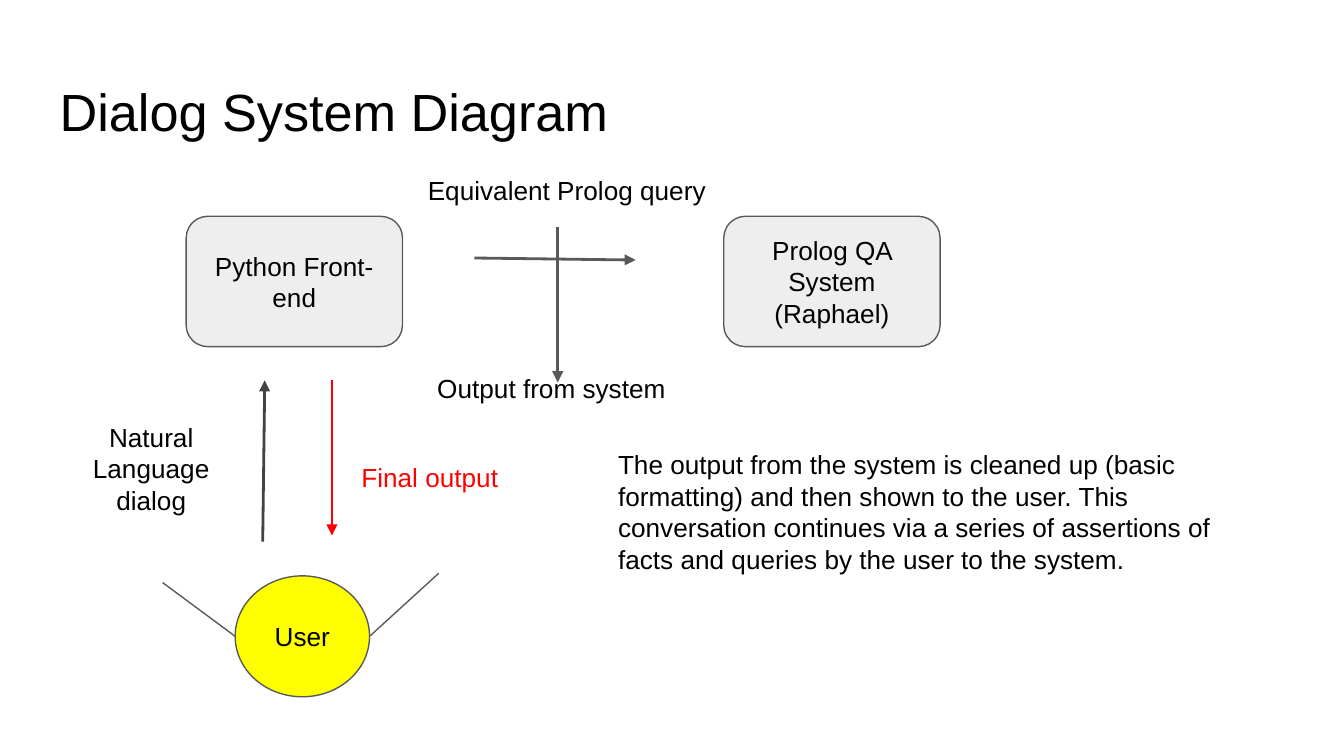
import pptx
import pptx.util
import pptx.dml.color
import pptx.enum.shapes
import pptx.enum.text
import pptx.oxml.ns
import lxml.etree

PX = 4572  # EMU per px, 200 px to the inch
THEME = dict(font="Arial", head=28, body=14, black="000000", red="FF0000",
             grey="EEEEEE", yellow="FFFF00", edge="595959", dark="434343",
             thin=0.75, thick=1.5)
KIND = pptx.enum.shapes.MSO_SHAPE
ALIGN = pptx.enum.text.PP_ALIGN
ANCHOR = pptx.enum.text.MSO_ANCHOR


def tint(name):
    return pptx.dml.color.RGBColor.from_string(THEME[name])


def write(shape, text, size="body", color="black", align=ALIGN.LEFT,
          anchor=ANCHOR.TOP):
    frame = shape.text_frame
    form = dict(word_wrap=True, vertical_anchor=anchor)
    for side in ("left", "right", "top", "bottom"):
        form["margin_" + side] = 20 * PX
    for key, value in form.items():
        setattr(frame, key, value)
    para = frame.paragraphs[0]
    para.text, para.alignment = text, align
    font = para.runs[0].font
    font.name, font.size = THEME["font"], pptx.util.Pt(THEME[size])
    font.color.rgb = tint(color)


deck = pptx.Presentation()
deck.slide_width, deck.slide_height = 2000 * PX, 1125 * PX
slide = deck.slides.add_slide(deck.slide_layouts[6])
shapes = slide.shapes

# Title and labels
about = ("The output from the system is cleaned up (basic formatting) and "
         "then shown to the user. This conversation continues via a series of "
         "assertions of facts and queries by the user to the system.")
labels = [
    ("Dialog System Diagram", (69, 98, 1864, 126), dict(size="head")),
    ("Natural Language dialog", (96, 607, 258, 154), dict(align=ALIGN.CENTER)),
    (about, (900, 648, 990, 414), {}),
    ("Equivalent Prolog query", (617, 240, 460, 102), {}),
    ("Output from system", (631, 534, 412, 74), {}),
    ("Final output", (518, 667, 258, 126), dict(color="red")),
]
for text, area, style in labels:
    write(shapes.add_textbox(*[n * PX for n in area]), text, **style)

# User and the two systems
nodes = [
    ("User", KIND.OVAL, (350, 857, 200, 180), "yellow"),
    ("Python Front-end", KIND.ROUNDED_RECTANGLE,
     (277, 322, 322, 194), "grey"),
    ("Prolog QA System (Raphael)", KIND.ROUNDED_RECTANGLE,
     (1077, 322, 322, 194), "grey"),
]
for text, kind, area, fill in nodes:
    node = shapes.add_shape(kind, *[n * PX for n in area])
    node.shadow.inherit = False
    node.fill.solid()
    node.fill.fore_color.rgb = tint(fill)
    node.line.color.rgb = tint("edge")
    node.line.width = pptx.util.Pt(THEME["thin"])
    write(node, text, align=ALIGN.CENTER, anchor=ANCHOR.MIDDLE)

# Arms of the user, then arrows: ends, color, width, arrowhead
lines = [
    ((550, 947, 653, 853), "edge", "thin", False),
    ((350, 947, 242, 867), "edge", "thin", False),
    ((391, 806, 394, 566), "dark", "thick", True),
    ((494, 566, 494, 797), "red", "thick", True),
    ((706, 384, 946, 387), "edge", "thick", True),
    ((830, 338, 830, 569), "edge", "thick", True),
]
for ends, color, width, arrow in lines:
    link = shapes.add_connector(pptx.enum.shapes.MSO_CONNECTOR.STRAIGHT,
                                *[n * PX for n in ends])
    link.line.color.rgb = tint(color)
    link.line.width = pptx.util.Pt(THEME[width])
    if arrow:
        lxml.etree.SubElement(link.line._get_or_add_ln(),
                              pptx.oxml.ns.qn("a:tailEnd"), type="triangle")
    lxml.etree.SubElement(link._element.spPr, pptx.oxml.ns.qn("a:effectLst"))

deck.save("out.pptx")
